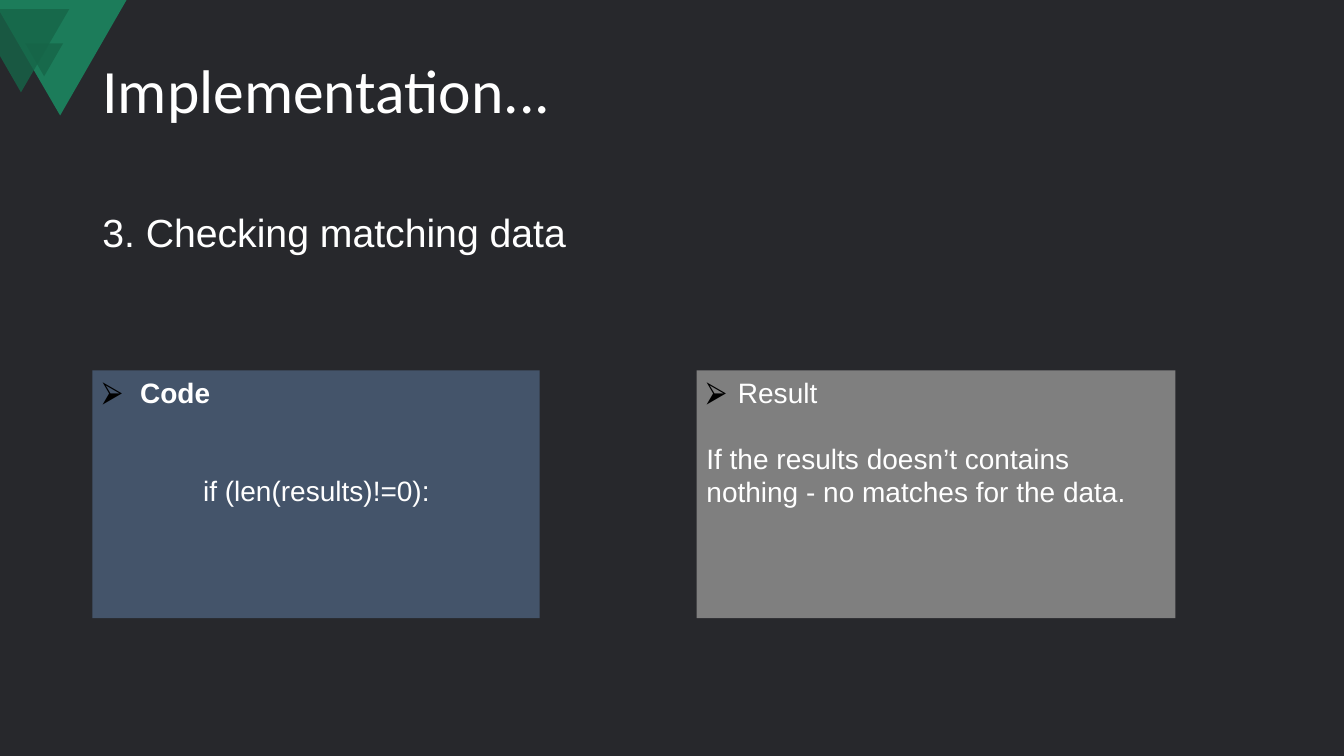
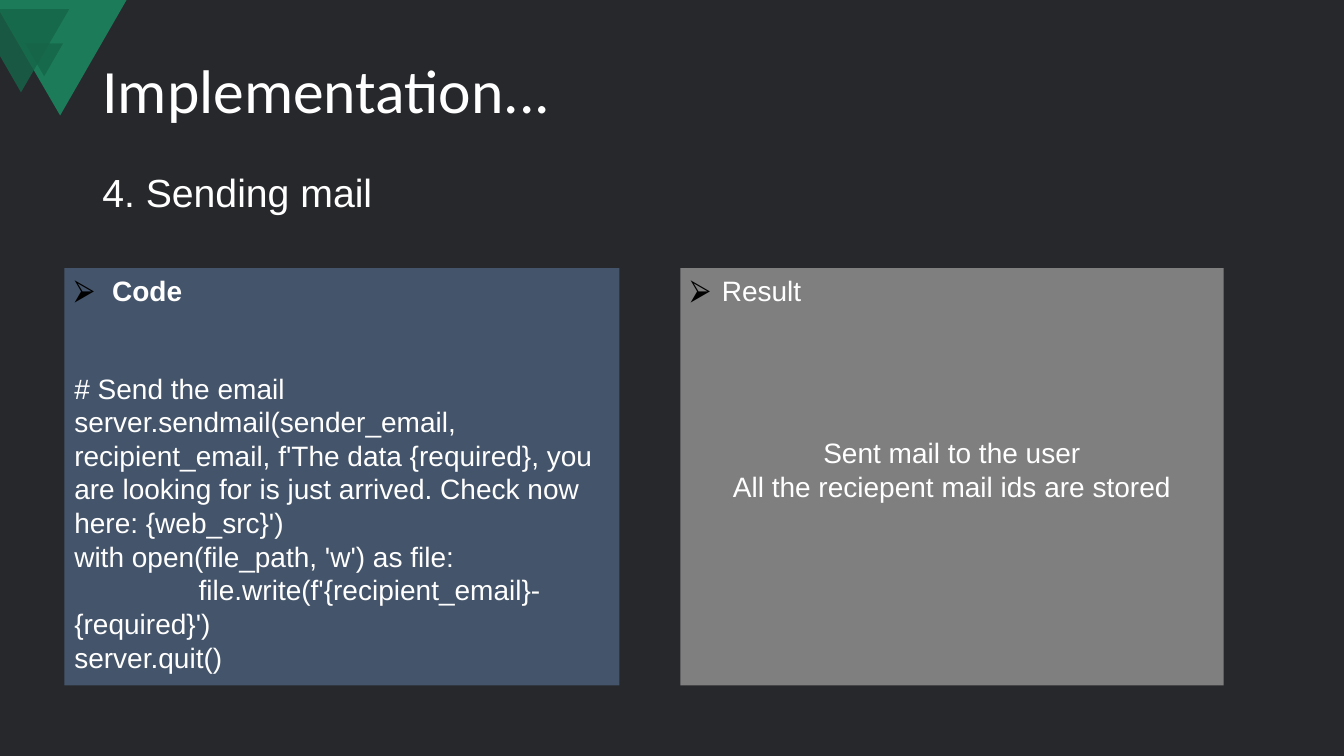
from dataclasses import dataclass

from lxml import etree
from pptx import Presentation
from pptx.dml.color import RGBColor
from pptx.enum.shapes import MSO_SHAPE as Preset
from pptx.enum.text import MSO_ANCHOR as Anchor, PP_ALIGN as Align
from pptx.oxml.ns import qn
from pptx.util import Pt


@dataclass(frozen=True)
class Theme:
    background: str = "27282C"
    text: str = "FFFFFF"
    bullet: str = "000000"
    green: str = "1C7C5A"
    dark_green: str = "166548"
    code_fill: str = "44546A"
    result_fill: str = "7F7F7F"
    title_font: str = "Calibri"
    body_font: str = "Arial"
    title_size: float = 44
    heading_size: float = 28
    body_size: float = 20
    line_height: float = 23


THEME = Theme()


@dataclass(frozen=True)
class Line:
    text: str
    gap: int = 0  # empty lines above
    indent: float = 0
    hanging: float = 0  # above zero: a bulleted line
    bold: bool = False
    align: Align = Align.LEFT


@dataclass(frozen=True)
class Panel:
    left: float
    width: float
    fill: str
    lines: tuple[Line, ...]


@dataclass(frozen=True)
class Step:
    heading: str
    heading_top: float
    panel_top: float
    panel_height: float
    panels: tuple[Panel, ...]


CODE_HEAD = Line("Code", hanging=27, bold=True)
RESULT_HEAD = Line("Result", hanging=22.5)

STEPS = (
    Step("3. Checking matching data", 145.5, 264.5, 177, (
        Panel(66, 319.5, THEME.code_fill, (
            CODE_HEAD,
            Line("if (len(results)!=0):", gap=2, indent=72),
        )),
        Panel(497.5, 342, THEME.result_fill, (
            RESULT_HEAD,
            Line("If the results doesn’t contains nothing - no matches for the data.", gap=1),
        )),
    )),
    Step("4. Sending mail", 117, 191.5, 298, (
        Panel(46, 396.5, THEME.code_fill, (
            CODE_HEAD,
            Line("# Send the email", gap=2),
            Line("server.sendmail(sender_email, recipient_email, f'The data {required}, "
                 "you are looking for is just arrived. Check now here: {web_src}')"),
            Line("with open(file_path, 'w') as file:"),
            Line("                file.write(f'{recipient_email}-{required}')"),
            Line("server.quit()"),
        )),
        Panel(486, 388, THEME.result_fill, (
            RESULT_HEAD,
            Line("Sent mail to the user", gap=4, align=Align.CENTER),
            Line("All the reciepent mail ids are stored", align=Align.CENTER),
        )),
    )),
)


def style_font(para, name: str, size: float, bold: bool = False) -> None:
    font = para.font
    font.name, font.size, font.bold = name, Pt(size), bold
    font.color.rgb = RGBColor.from_string(THEME.text)


def paint(shape, color: str, opacity: int = 100) -> None:
    shape.shadow.inherit = False
    shape.line.fill.background()
    shape.fill.solid()
    shape.fill.fore_color.rgb = RGBColor.from_string(color)
    if opacity < 100:
        swatch = shape.fill._xPr.find(f"{qn('a:solidFill')}/{qn('a:srgbClr')}")
        etree.SubElement(swatch, qn("a:alpha"), val=str(opacity * 1000))


def add_outline(page, points: list[tuple[float, float]], color: str, opacity: int = 100) -> None:
    start, *rest = [(Pt(x), Pt(y)) for x, y in points]
    builder = page.shapes.build_freeform(*start)
    builder.add_line_segments(rest, close=True)
    paint(builder.convert_to_shape(), color, opacity)


def add_corner(page) -> None:
    """Overlapping triangles in the top left corner."""
    add_outline(page, [(0, -1), (91, -1), (43, 82.5), (0, 8.5)], THEME.green)
    small = page.shapes.add_shape(Preset.ISOSCELES_TRIANGLE, Pt(18), Pt(31), Pt(27), Pt(23.5))
    small.rotation = 180
    paint(small, THEME.dark_green, 80)
    add_outline(page, [(0, 6.5), (49.5, 6.5), (15, 66), (0, 40)], THEME.dark_green, 80)


def add_title(page) -> None:
    title = page.shapes.title
    title.left, title.top, title.width, title.height = Pt(66), Pt(29), Pt(828), Pt(75.5)
    title.text_frame.text = "Implementation..."
    title.text_frame.vertical_anchor = Anchor.MIDDLE
    para = title.text_frame.paragraphs[0]
    para.alignment, para.line_spacing = Align.LEFT, 0.9
    style_font(para, THEME.title_font, THEME.title_size)


def add_heading(page, text: str, top: float) -> None:
    box = page.shapes.add_textbox(Pt(66), Pt(top), Pt(420), Pt(41))
    box.text_frame.word_wrap = True
    box.text_frame.text = text
    style_font(box.text_frame.paragraphs[0], THEME.body_font, THEME.heading_size)


def add_bullet(para) -> None:
    props = para._p.get_or_add_pPr()
    color = etree.SubElement(props, qn("a:buClr"))
    etree.SubElement(color, qn("a:srgbClr"), val=THEME.bullet)
    etree.SubElement(props, qn("a:buFont"), typeface=THEME.body_font)
    etree.SubElement(props, qn("a:buChar"), char="⮚")


def write_line(para, line: Line) -> None:
    para.text = line.text
    para.alignment = line.align
    if line.gap:
        para.space_before = Pt(line.gap * THEME.line_height)
    props = para._p.get_or_add_pPr()
    props.set("marL", str(Pt(line.indent + line.hanging)))
    props.set("indent", str(-Pt(line.hanging)))
    if line.hanging:
        add_bullet(para)
    style_font(para, THEME.body_font, THEME.body_size, line.bold)


def add_panel(page, panel: Panel, top: float, height: float) -> None:
    box = page.shapes.add_shape(Preset.RECTANGLE, Pt(panel.left), Pt(top), Pt(panel.width), Pt(height))
    paint(box, panel.fill)
    frame = box.text_frame
    frame.word_wrap, frame.vertical_anchor = True, Anchor.TOP
    for index, line in enumerate(panel.lines):
        write_line(frame.add_paragraph() if index else frame.paragraphs[0], line)


def add_step(deck, step: Step) -> None:
    page = deck.slides.add_slide(deck.slide_layouts.get_by_name("Title Only"))
    add_corner(page)
    add_title(page)
    add_heading(page, step.heading, step.heading_top)
    for panel in step.panels:
        add_panel(page, panel, step.panel_top, step.panel_height)


def main() -> None:
    deck = Presentation()
    deck.slide_width, deck.slide_height = Pt(960), Pt(540)
    # Shared background
    fill = deck.slide_master.background.fill
    fill.solid()
    fill.fore_color.rgb = RGBColor.from_string(THEME.background)
    # Pages
    for step in STEPS:
        add_step(deck, step)
    deck.save("out.pptx")


if __name__ == "__main__":
    main()
